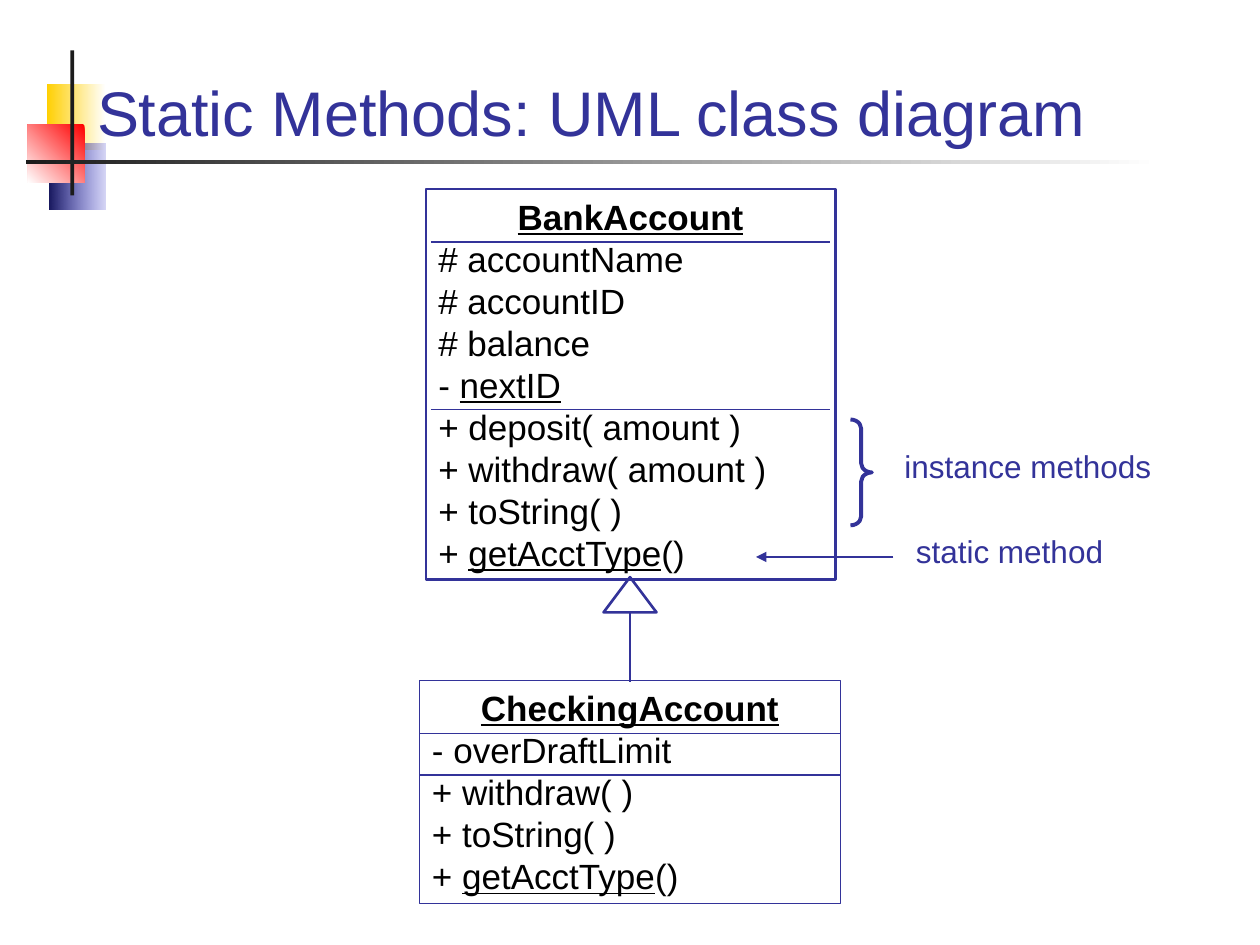
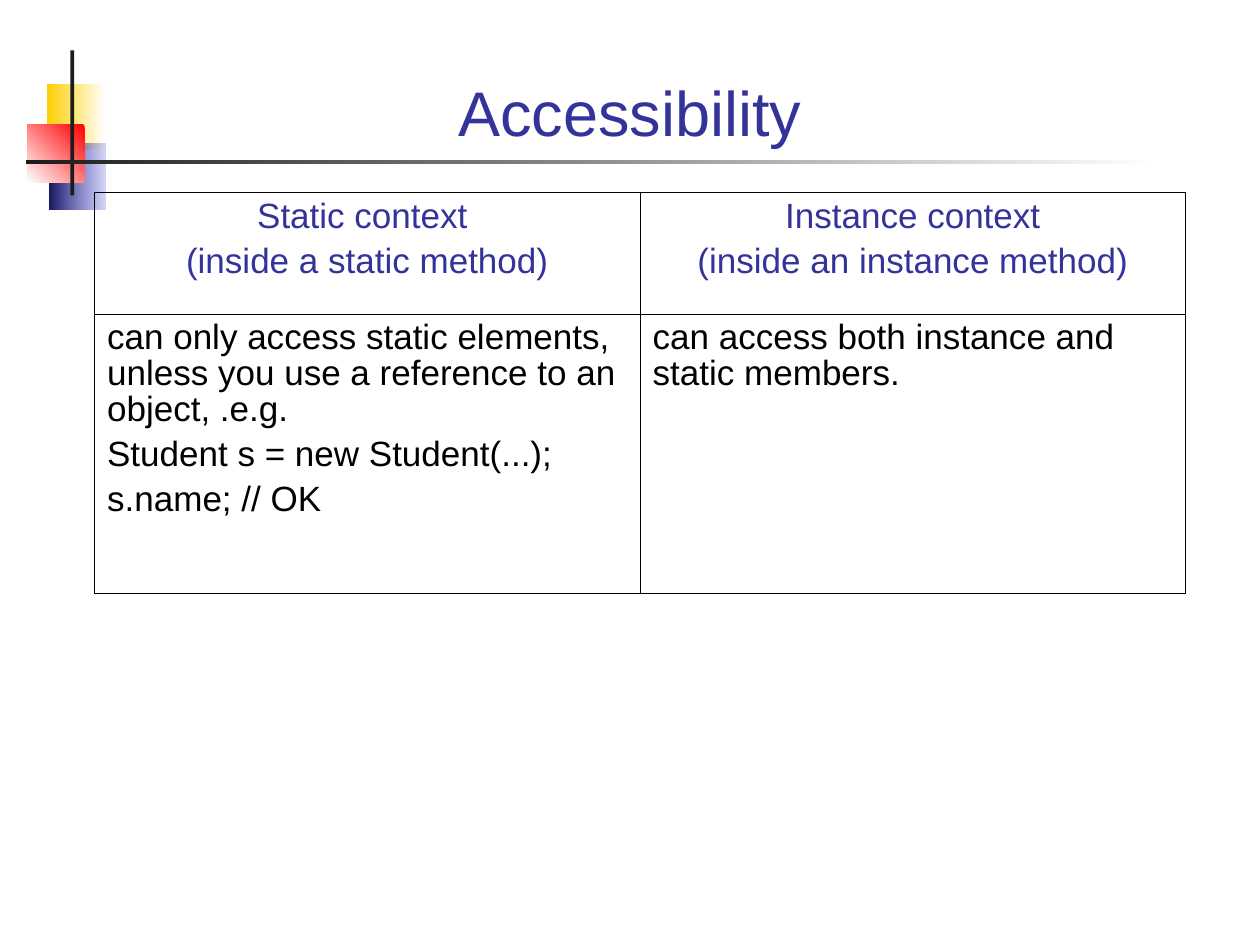
"""Build two slides on static methods: a UML class diagram and an accessibility table."""
from typing import NamedTuple, Optional

import pptx
import pptx.dml.color
import pptx.enum.shapes
import pptx.enum.text
import pptx.oxml.ns
import pptx.util
from lxml import etree

Inches = pptx.util.Inches
Pt = pptx.util.Pt
ALIGN = pptx.enum.text.PP_ALIGN
SHAPE = pptx.enum.shapes.MSO_SHAPE
qn = pptx.oxml.ns.qn

FONT = "Arial"
COLORS = {
    "indigo": "333399",
    "text": "000000",
    "ink": "1C1C1C",
    "white": "FFFFFF",
    "yellow": "FFCF01",
    "blue": "3333CC",
    "navy": "17175E",
    "red": "FF0000",
}


class Box(NamedTuple):
    left: float
    top: float
    width: float
    height: float


class Ornament(NamedTuple):
    box: Box
    start: str
    end: Optional[str] = None
    angle: int = 180
    start_alpha: int = 100


class UmlClass(NamedTuple):
    box: Box
    lines: list[str]
    dividers: list[float]
    divider_inset: float
    border: float
    divider_width: float


class Line(NamedTuple):
    start: tuple[float, float]
    end: tuple[float, float]
    width: float
    arrow: bool = False


class Label(NamedTuple):
    box: Box
    text: str


TITLE_BOX = Box(0.67, 0.28, 8.66, 0.95)
ORNAMENTS = [
    Ornament(Box(0.37, 0.67, 0.47, 0.52), "white", "yellow"),
    Ornament(Box(0.39, 1.14, 0.45, 0.52), "blue", "navy", start_alpha=20),
    Ornament(Box(0.22, 0.99, 0.45, 0.46), "red", "white", angle=225),
    Ornament(Box(0.56, 0.4, 0.03, 1.15), "ink"),
    Ornament(Box(0.21, 1.27, 8.99, 0.03), "white", "ink"),
]
CLASSES = [
    UmlClass(
        Box(3.38, 1.5, 3.25, 3.1),
        ["BankAccount", "# accountName", "# accountID", "# balance", "- _nextID_",
         "+ deposit( amount )", "+ withdraw( amount )", "+ toString( )",
         "+ _getAcctType_()"],
        [1.92, 3.25], 0.04, 1.5, 1),
    UmlClass(
        Box(3.33, 5.4, 3.34, 1.77),
        ["CheckingAccount", "- overDraftLimit", "+ withdraw( )", "+ toString( )",
         "+ _getAcctType_()"],
        [5.82, 6.15], 0, 0.75, 0.75),
]
INHERITANCE = Line((5, 5.41), (5, 4.86), 1.5)
STATIC_ARROW = Line((7.09, 4.42), (6, 4.42), 1, arrow=True)
ARROWHEAD = Box(4.79, 4.58, 0.42, 0.28)
BRACE = Box(6.75, 3.33, 0.17, 0.84)
LABELS = [
    Label(Box(7.08, 3.5, 2.42, 0.4), "instance methods"),
    Label(Box(7.17, 4.17, 2.42, 0.4), "static method"),
]
TABLE_BOX = Box(0.75, 1.53, 8.66, 3.18)
ROW_HEIGHTS = [0.96, 2.22]
CONTEXTS = [
    ["Static context \n(inside a static method)",
     "Instance context\n(inside an instance method)"],
    ["can only access static elements, unless you use a reference to an object, .e.g.\n"
     "Student s = new Student(...);\ns.name; // OK",
     "can access both instance and static members."],
]


def rgb(name: str) -> pptx.dml.color.RGBColor:
    return pptx.dml.color.RGBColor.from_string(COLORS[name])


def inches(box: Box) -> list[int]:
    return [Inches(v) for v in box]


def style_font(font, size: float, color: str, bold: bool = False,
               underline: bool = False) -> None:
    font.name, font.size = FONT, Pt(size)
    font.bold, font.underline = bold, underline
    font.color.rgb = rgb(color)


def add_outline(slide, kind, box: Box, width: float):
    sp = slide.shapes.add_shape(kind, *inches(box))
    sp.shadow.inherit = False
    sp.fill.background()
    sp.line.color.rgb = rgb("indigo")
    sp.line.width = Pt(width)
    return sp


def add_line(slide, line: Line) -> None:
    cxn = slide.shapes.add_connector(
        pptx.enum.shapes.MSO_CONNECTOR.STRAIGHT,
        *[Inches(v) for v in line.start + line.end])
    cxn.line.color.rgb = rgb("indigo")
    cxn.line.width = Pt(line.width)
    if line.arrow:
        etree.SubElement(cxn.line._get_or_add_ln(), qn("a:tailEnd"), type="triangle")
    etree.SubElement(cxn._element.spPr, qn("a:effectLst"))


def add_ornament(slide, ornament: Ornament) -> None:
    sp = slide.shapes.add_shape(SHAPE.RECTANGLE, *inches(ornament.box))
    sp.shadow.inherit = False
    sp.line.fill.background()
    if ornament.end is None:
        sp.fill.solid()
        sp.fill.fore_color.rgb = rgb(ornament.start)
        return
    sp.fill.gradient()
    sp.fill.gradient_angle = ornament.angle
    for stop, color in zip(sp.fill.gradient_stops, (ornament.start, ornament.end)):
        stop.color.rgb = rgb(color)
    if ornament.start_alpha < 100:
        start = next(sp._element.iter(qn("a:srgbClr")))
        etree.SubElement(start, qn("a:alpha"), val=str(ornament.start_alpha * 1000))


def add_titled_slide(prs, title: str, align):
    slide = prs.slides.add_slide(prs.slide_layouts[5])
    for ornament in ORNAMENTS:
        add_ornament(slide, ornament)
    sp = slide.shapes.title
    sp.left, sp.top, sp.width, sp.height = inches(TITLE_BOX)
    tf = sp.text_frame
    tf.text = title
    tf.auto_size = pptx.enum.text.MSO_AUTO_SIZE.NONE
    tf.vertical_anchor = pptx.enum.text.MSO_ANCHOR.BOTTOM
    tf.paragraphs[0].alignment = align
    style_font(tf.paragraphs[0].runs[0].font, 36, "indigo")
    slide.shapes._spTree.append(sp._element)
    return slide


def add_uml_class(slide, uml: UmlClass) -> None:
    tf = add_outline(slide, SHAPE.RECTANGLE, uml.box, uml.border).text_frame
    tf.word_wrap = True
    tf.vertical_anchor = pptx.enum.text.MSO_ANCHOR.TOP
    for i, text in enumerate(uml.lines):
        heading = i == 0
        p = tf.paragraphs[0] if heading else tf.add_paragraph()
        p.alignment = ALIGN.CENTER if heading else ALIGN.LEFT
        p.line_spacing = Pt(24)
        for j, part in enumerate(text.split("_")):
            r = p.add_run()
            r.text = part
            style_font(r.font, 20, "text", heading, heading or j % 2 == 1)
    left = uml.box.left + uml.divider_inset
    right = uml.box.left + uml.box.width - uml.divider_inset
    for y in uml.dividers:
        add_line(slide, Line((left, y), (right, y), uml.divider_width))


def add_label(slide, label: Label) -> None:
    tf = slide.shapes.add_textbox(*inches(label.box)).text_frame
    tf.word_wrap = True
    tf.text = label.text
    style_font(tf.paragraphs[0].runs[0].font, 18, "indigo")


def set_border(cell, side: str, width: float) -> None:
    ln = etree.SubElement(cell._tc.get_or_add_tcPr(), qn(f"a:ln{side}"),
                          w=str(Pt(width)))
    fill = etree.SubElement(ln, qn("a:solidFill"))
    etree.SubElement(fill, qn("a:srgbClr"), val=COLORS["text"])


def add_context_table(slide) -> None:
    rows, cols = len(CONTEXTS), len(CONTEXTS[0])
    table = slide.shapes.add_table(rows, cols, *inches(TABLE_BOX)).table
    table.first_row = table.horz_banding = False
    for i, texts in enumerate(CONTEXTS):
        table.rows[i].height = Inches(ROW_HEIGHTS[i])
        for j, text in enumerate(texts):
            cell = table.cell(i, j)
            outer = {"L": j == 0, "R": j == cols - 1, "T": i == 0, "B": i == rows - 1}
            for side, is_outer in outer.items():
                set_border(cell, side, 0.5 if is_outer else 0.25)
            cell.fill.background()
            cell.text_frame.text = text
            for k, p in enumerate(cell.text_frame.paragraphs):
                p.alignment = ALIGN.CENTER if i == 0 else ALIGN.LEFT
                p.line_spacing = 0.93
                p.space_before = Pt(5 if k else 0)
                style_font(p.runs[0].font, 20, "text" if i else "indigo")


def build_diagram_slide(prs) -> None:
    slide = add_titled_slide(prs, "Static Methods: UML class diagram", ALIGN.LEFT)
    for uml in CLASSES:
        add_uml_class(slide, uml)
    for line in (INHERITANCE, STATIC_ARROW):
        add_line(slide, line)
    add_outline(slide, SHAPE.ISOSCELES_TRIANGLE, ARROWHEAD, 1.5)
    add_outline(slide, SHAPE.RIGHT_BRACE, BRACE, 2.25).adjustments[0] = 0.42
    for label in LABELS:
        add_label(slide, label)


def build_table_slide(prs) -> None:
    slide = add_titled_slide(prs, "Accessibility", ALIGN.CENTER)
    add_context_table(slide)


def main() -> None:
    prs = pptx.Presentation()
    prs.slide_width, prs.slide_height = Inches(10), Inches(7.5)
    build_diagram_slide(prs)
    build_table_slide(prs)
    prs.save("out.pptx")


if __name__ == "__main__":
    main()
